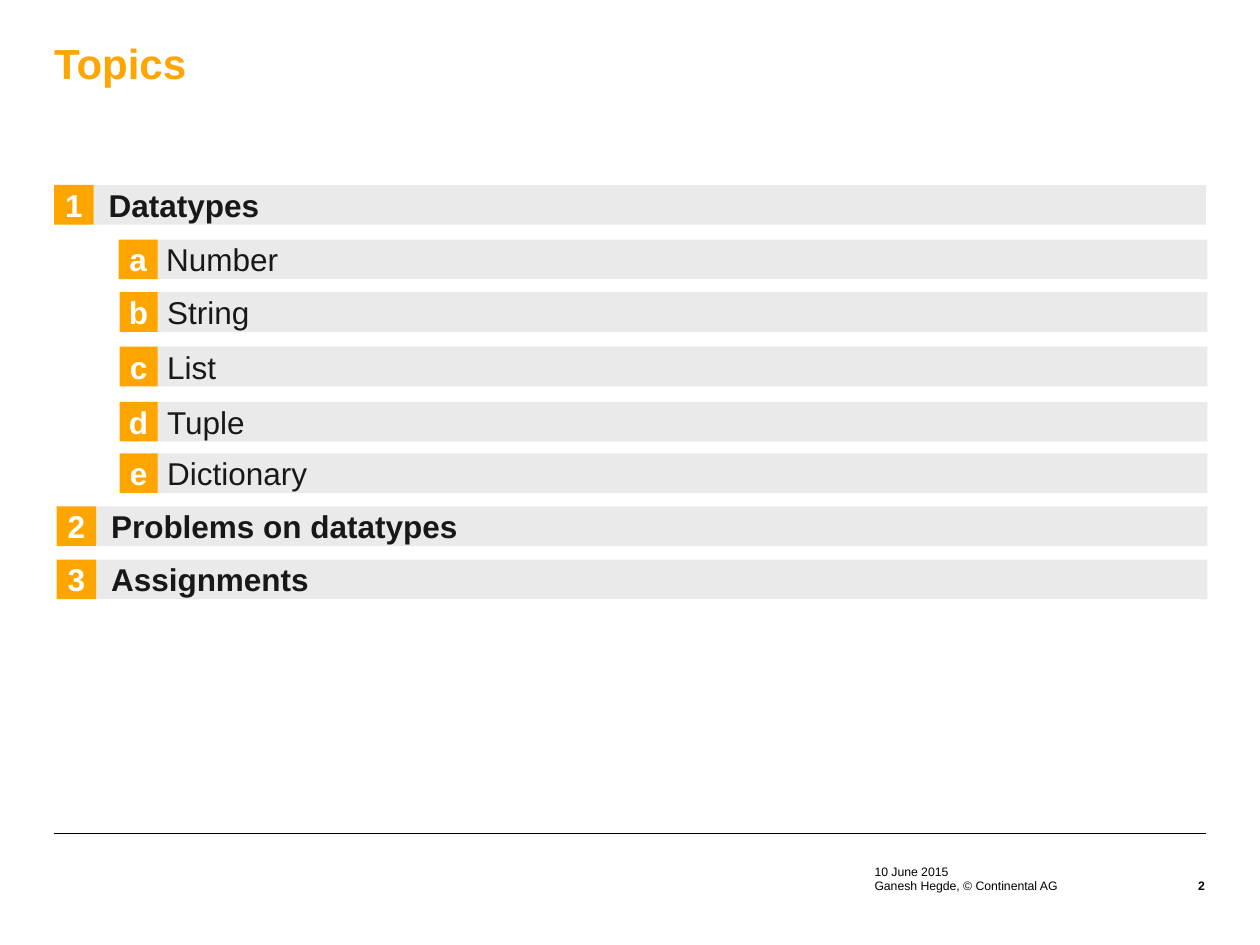
from lxml.etree import SubElement
from pptx import Presentation
from pptx.dml.color import RGBColor
from pptx.enum.shapes import MSO_CONNECTOR as Connector, MSO_SHAPE as Preset
from pptx.enum.text import MSO_ANCHOR as Anchor, MSO_AUTO_SIZE as AutoSize, PP_ALIGN as Align
from pptx.oxml.ns import qn
from pptx.util import Cm, Pt

ORANGE, GREY, INK, BLACK, WHITE = "FFA500", "EAEAEA", "181818", "000000", "FFFFFF"

TITLE = "Topics\v"
TOPICS = [
    ("1", "Datatypes", 1.09, 3.73),
    ("a", "Number", 2.39, 4.83),
    ("b", "String", 2.41, 5.89),
    ("c", "List", 2.41, 6.99),
    ("d", "Tuple", 2.41, 8.1),
    ("e", "Dictionary", 2.41, 9.14),
    ("2", "Problems on datatypes", 1.14, 10.21),
    ("3", "Assignments", 1.14, 11.28),
]
FOOTER = [
    ("10 June 2015", (17.63, 17.3, 5.56, 0.41), {"anchor": Anchor.BOTTOM}),
    ("2", (23.29, 17.7, 1.0, 0.41), {"align": Align.RIGHT, "bold": True}),
    ("Ganesh Hegde, © Continental AG", (17.63, 17.7, 5.56, 0.41), {}),
]

LEFT, RIGHT, BAR_RIGHT = 1.09, 24.31, 24.34
ROW_HEIGHT, BADGE_WIDTH, SUB_BADGE_RIGHT = 0.8, 0.8, 3.18
SUB_BAR_OFFSET = 0.66
BAR_INSETS = (0.3, 0.1, 0.2, 0.1)
BADGE_INSETS = (0.1, 0.1, 0.1, 0.1)


def color(value):
    return RGBColor.from_string(value)


def write(shape, text, size=18, ink=INK, bold=False, align=Align.LEFT,
          anchor=Anchor.MIDDLE, insets=(0, 0, 0, 0), spacing=None):
    frame = shape.text_frame
    frame.auto_size = AutoSize.NONE
    frame.word_wrap = True
    frame.vertical_anchor = anchor
    frame.margin_left, frame.margin_top, frame.margin_right, frame.margin_bottom = map(Cm, insets)
    frame.text = text
    paragraph = frame.paragraphs[0]
    paragraph.alignment = align
    paragraph.line_spacing = spacing
    for font in [paragraph.font] + [run.font for run in paragraph.runs]:
        font.name, font.size, font.bold = "Arial", Pt(size), bold
        font.color.rgb = color(ink)


def add_block(slide, left, top, right, fill, text, **style):
    shape = slide.shapes.add_shape(
        Preset.RECTANGLE, Cm(left), Cm(top), Cm(right - left), Cm(ROW_HEIGHT))
    shape.shadow.inherit = False
    shape.fill.solid()
    shape.fill.fore_color.rgb = color(fill)
    shape.line.fill.background()
    write(shape, text, **style)


def add_topic(slide, marker, text, left, top):
    main_topic = marker.isdigit()
    badge_right = left + BADGE_WIDTH if main_topic else SUB_BADGE_RIGHT
    bar_left = badge_right if main_topic else left + SUB_BAR_OFFSET
    bar_right = RIGHT if left == LEFT else BAR_RIGHT
    add_block(slide, bar_left, top, bar_right, GREY, text, bold=main_topic, insets=BAR_INSETS)
    add_block(slide, left, top, badge_right, ORANGE, marker, ink=WHITE, bold=True,
              align=Align.CENTER, insets=BADGE_INSETS)


def add_rule(slide, top):
    rule = slide.shapes.add_connector(Connector.STRAIGHT, Cm(LEFT), Cm(top), Cm(RIGHT), Cm(top))
    rule.line.color.rgb = color(BLACK)
    rule.line.width = Pt(0.35)
    SubElement(rule._element.spPr, qn("a:effectLst"))


def main():
    presentation = Presentation()
    presentation.slide_width, presentation.slide_height = Cm(25.4), Cm(19.05)
    slide = presentation.slides.add_slide(presentation.slide_layouts[5])
    add_rule(slide, 16.8)

    title = slide.shapes.title
    title.left, title.top, title.width, title.height = map(Cm, (LEFT, 0.81, 23.22, 2.01))
    write(title, TITLE, size=24, ink=ORANGE, bold=True, anchor=Anchor.BOTTOM,
          insets=(0, 0, 0.25, 0), spacing=0.95)

    for text, box, style in FOOTER:
        textbox = slide.shapes.add_textbox(*map(Cm, box))
        write(textbox, text, **{"size": 7, "ink": BLACK, "anchor": Anchor.TOP, **style})

    for topic in TOPICS:
        add_topic(slide, *topic)

    presentation.save("out.pptx")


if __name__ == "__main__":
    main()
